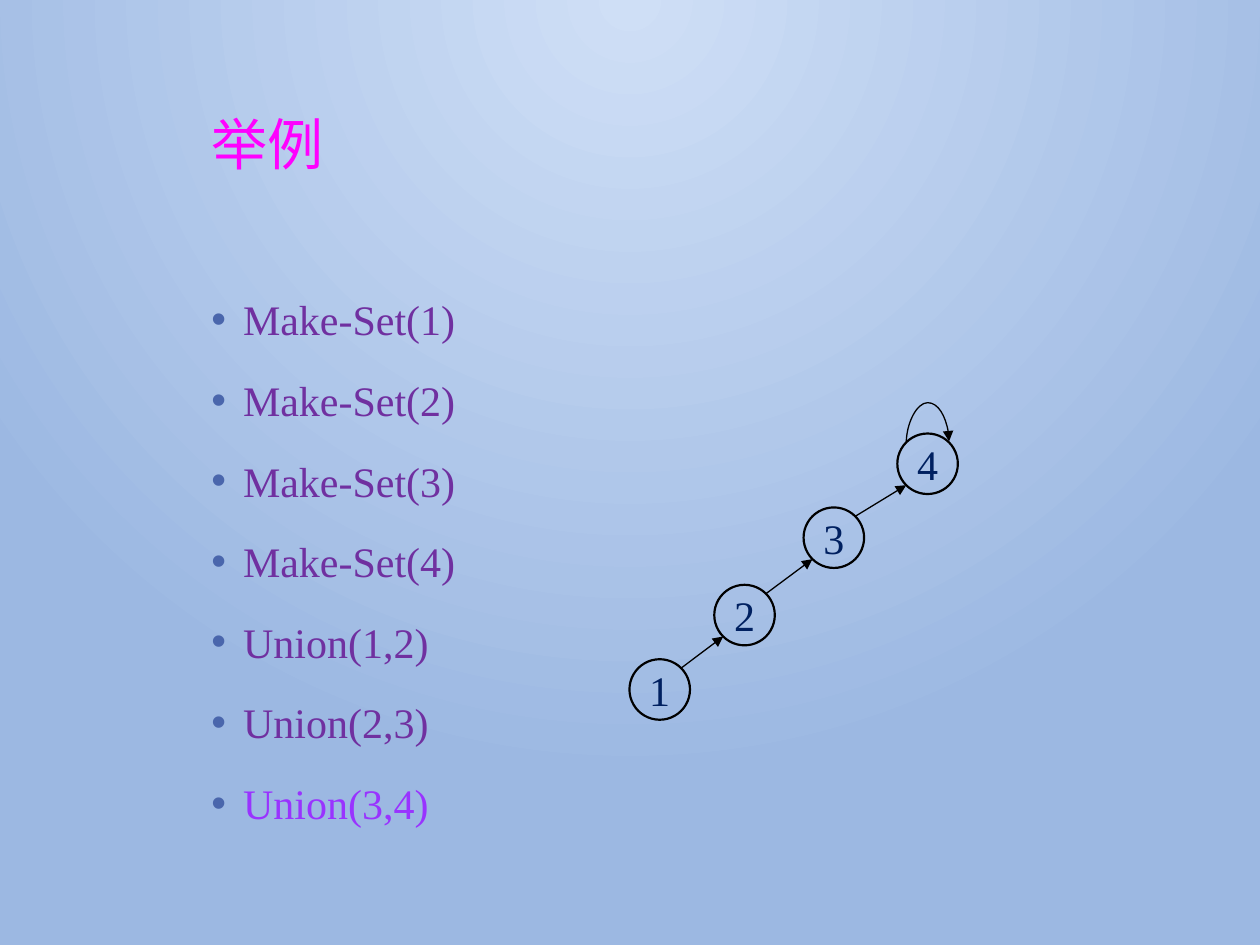
import pptx
import pptx.dml.color
import pptx.enum.shapes
import pptx.enum.text
import pptx.oxml.ns
import pptx.util
from lxml import etree

Cm, Pt, qn = pptx.util.Cm, pptx.util.Pt, pptx.oxml.ns.qn
RGB = pptx.dml.color.RGBColor
ANCHOR, ALIGN = pptx.enum.text.MSO_ANCHOR, pptx.enum.text.PP_ALIGN
CONNECTOR = pptx.enum.shapes.MSO_CONNECTOR

# Content
TITLE = "举例"
STEPS = ["Make-Set(1)", "Make-Set(2)", "Make-Set(3)", "Make-Set(4)",
         "Union(1,2)", "Union(2,3)", "Union(3,4)"]
NODES = [("1", 12.69, 13.29), ("2", 14.4, 11.79),
         ("3", 16.2, 10.23), ("4", 18.09, 8.74)]  # label, left, top in cm
NODE_SIZE = 1.22
LATIN, CJK = "Times New Roman", "Noto Sans CJK SC"

BLACK = RGB(0x00, 0x00, 0x00)
NAVY = RGB(0x00, 0x20, 0x60)
MAGENTA = RGB(0xFF, 0x00, 0xFF)
PURPLE = RGB(0x70, 0x30, 0xA0)
VIOLET = RGB(0x99, 0x33, 0xFF)
BULLET = RGB(0x4A, 0x66, 0xAC)
BG_LIGHT = RGB(0xCF, 0xDF, 0xF6)
BG_DARK = RGB(0x9C, 0xB8, 0xE2)

# Ellipse connection sites
TOP_LEFT, BOTTOM_LEFT, TOP_RIGHT = 1, 3, 7


def add(parent, tag, **attrs):
    return etree.SubElement(parent, qn(tag), {k: str(v) for k, v in attrs.items()})


def write(p, text, size=24, font=LATIN, color=NAVY, align=None,
          spacing=None, before=None):
    r = p.add_run()
    r.text = text
    r.font.size, r.font.name, r.font.color.rgb = Pt(size), font, color
    add(r._r.get_or_add_rPr(), "a:ea", typeface=font)
    p.alignment, p.line_spacing, p.space_before = align, spacing, before


def bullet(p):
    pPr = p._p.get_or_add_pPr()
    pPr.set("marL", str(Cm(0.64)))
    pPr.set("indent", str(-Cm(0.64)))
    add(add(pPr, "a:buClr"), "a:srgbClr", val=BULLET)
    add(pPr, "a:buFont", typeface="Arial")
    add(pPr, "a:buChar", char="•")


def text_box(s, left, top, width, height, anchor):
    tf = s.shapes.add_textbox(Cm(left), Cm(top), Cm(width), Cm(height)).text_frame
    tf.word_wrap, tf.vertical_anchor = True, anchor
    return tf


def arrow(s, kind, x1, y1, x2, y2, start, start_site, end, end_site):
    c = s.shapes.add_connector(kind, Cm(x1), Cm(y1), Cm(x2), Cm(y2))
    c.line.color.rgb, c.line.width = BLACK, Pt(0.75)
    add(c.line._get_or_add_ln(), "a:tailEnd", type="triangle")
    add(c._element.spPr, "a:effectLst")
    joints = c._element.nvCxnSpPr.cNvCxnSpPr
    add(joints, "a:stCxn", id=start.shape_id, idx=start_site)
    add(joints, "a:endCxn", id=end.shape_id, idx=end_site)
    return c


prs = pptx.Presentation()
prs.slide_width, prs.slide_height = Cm(25.4), Cm(19.05)
s = prs.slides.add_slide(prs.slide_layouts[6])

# Radial background
fill = s.background.fill
fill.gradient()
for stop, color in zip(fill.gradient_stops, (BG_LIGHT, BG_DARK)):
    stop.color.rgb = color
grad = s._element.find(".//" + qn("a:gradFill"))
for lin in grad.findall(qn("a:lin")):
    grad.remove(lin)
add(add(grad, "a:path", path="circle"), "a:fillToRect",
    l=43000, t=0, r=43000, b=100000)

# Title and list of operations
tf = text_box(s, 4.01, 2.24, 18.26, 2.92, ANCHOR.TOP)
write(tf.paragraphs[0], TITLE, size=32, font=CJK, color=MAGENTA, spacing=0.9)

tf = text_box(s, 4.01, 5.59, 6.73, 11.23, ANCHOR.MIDDLE)
for i, step in enumerate(STEPS):
    p = tf.add_paragraph() if i else tf.paragraphs[0]
    write(p, step, color=VIOLET if step == STEPS[-1] else PURPLE,
          spacing=1.2, before=Pt(11.5))
    bullet(p)

# Tree nodes
circles = []
for label, left, top in NODES:
    sp = s.shapes.add_shape(pptx.enum.shapes.MSO_SHAPE.OVAL, Cm(left), Cm(top),
                            Cm(NODE_SIZE), Cm(NODE_SIZE))
    sp.shadow.inherit = False
    sp.fill.background()
    sp.line.color.rgb, sp.line.width = BLACK, Pt(1.25)
    tf = sp.text_frame
    tf.word_wrap, tf.vertical_anchor = False, ANCHOR.MIDDLE
    write(tf.paragraphs[0], label, align=ALIGN.CENTER)
    circles.append(sp)

# Arrows from each node to its parent, joined on the diagonals
near = NODE_SIZE / 2 * (1 - 0.5 ** 0.5)
far = NODE_SIZE - near
for i in range(len(NODES) - 1):
    (_, x1, y1), (_, x2, y2) = NODES[i:i + 2]
    arrow(s, CONNECTOR.STRAIGHT, x1 + far, y1 + near, x2 + near, y2 + far,
          circles[i], TOP_RIGHT, circles[i + 1], BOTTOM_LEFT)

# Loop of the root on itself: a curve turned upright, bulging above the node
_, x, y = NODES[-1]
span, depth, bulge = far - near, 0.04, 0.82
cx, cy = x + NODE_SIZE / 2, y + near
loop = arrow(s, CONNECTOR.CURVE, cx + depth / 2, cy + span / 2,
             cx - depth / 2, cy - span / 2,
             circles[-1], TOP_LEFT, circles[-1], TOP_RIGHT)
loop._element.spPr.find(qn("a:xfrm")).set("rot", str(90 * 60000))
geom = loop._element.spPr.find(qn("a:prstGeom"))
add(geom.get_or_add_avLst(), "a:gd", name="adj1",
    fmla=f"val {round(bulge / depth * 100000)}")

prs.save("out.pptx")
